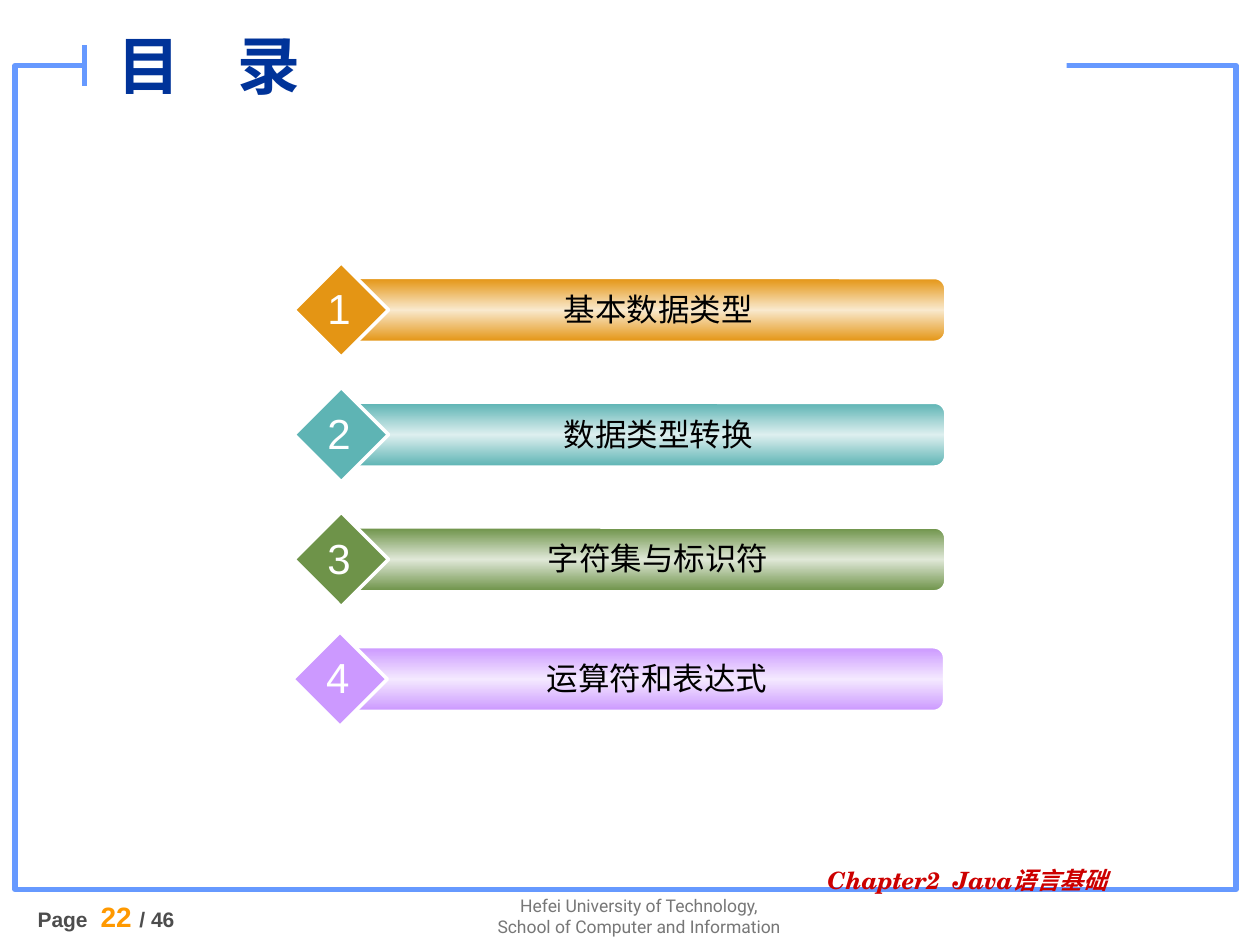
from copy import deepcopy
from pptx import Presentation
from pptx.dml.color import RGBColor
from pptx.enum.shapes import MSO_SHAPE as Kind, MSO_CONNECTOR as Link
from pptx.enum.text import PP_ALIGN as Align, MSO_ANCHOR as Anchor
from pptx.oxml.ns import qn
from pptx.oxml.xmlchemy import OxmlElement as Node
from pptx.util import Pt

BLUE, WHITE, GREY = "6699FF", "FFFFFF", "4D4D4D"
HAN = "Noto Sans CJK SC"

TITLE = "目\t录"
CHAPTER = "Chapter2\tJava语言基础"
SCHOOL = ["Hefei University of Technology,",
          "School of Computer and Information"]
PAGE = [("Page\t", 12, GREY), ("22 ", 16, "FF9900"), ("/ 46", 12, GREY)]

ITEMS = [
    ("基本数据类型", "E49514", "F9E9CD", 198, 159.1),
    ("数据类型转换", "5EB4B4", "DDEFEF", 198, 230.4),
    ("字符集与标识符", "6E9349", "E0E8D8", 198, 301.7),
    ("运算符和表达式", "CC99FF", "F4E9FF", 197.3, 370.1),
]
BAR_W, BAR_H, GEM = 342, 36, 54


def rgb(code):
    return RGBColor.from_string(code)


def style(run, size, color, face="Arial", bold=False, slant=False):
    font = run.font
    font.size, font.name = Pt(size), face
    font.bold, font.italic = bold, slant
    font.color.rgb = rgb(color)
    east = Node("a:ea")
    east.set("typeface", HAN)
    font._element.find(qn("a:latin")).addnext(east)


def add_tab(para, pos):
    stops, stop = Node("a:tabLst"), Node("a:tab")
    stop.set("pos", str(Pt(pos)))
    stop.set("algn", "l")
    stops.append(stop)
    para._p.get_or_add_pPr().append(stops)


def add_text(home, box, lines, size, color, align=Align.LEFT, wrap=True, **look):
    frame = home.add_textbox(*map(Pt, box)).text_frame
    frame.word_wrap = wrap
    frame.text = "\n".join(lines)
    for para in frame.paragraphs:
        para.alignment = align
        for run in para.runs:
            style(run, size, color, **look)
    return frame


def add_box(home, kind, box, fill, line, width):
    shape = home.add_shape(kind, *map(Pt, box))
    shape.shadow.inherit = False
    if fill:
        shape.fill.solid()
        shape.fill.fore_color.rgb = rgb(fill)
    else:
        shape.fill.background()
    if line:
        shape.line.color.rgb = rgb(line)
        shape.line.width = Pt(width)
    else:
        shape.line.fill.background()
    return shape


def shade(shape, edge, mid):
    fill = shape.fill
    fill.gradient()
    fill.gradient_angle = 90
    stops = shape._element.spPr.find(".//" + qn("a:gsLst"))
    stops.append(deepcopy(stops[0]))
    for stop, color, pos in zip(fill.gradient_stops, (edge, mid, edge), (0, 0.5, 1)):
        stop.color.rgb = rgb(color)
        stop.position = pos


def add_item(shapes, num, label, edge, mid, left, top):
    group = shapes.add_group_shape().shapes
    bar = add_box(group, Kind.ROUNDED_RECTANGLE, (left, top, BAR_W, BAR_H),
                  edge, WHITE, 1)
    shade(bar, edge, mid)
    add_box(group, Kind.DIAMOND, (left - 30, top + (BAR_H - GEM) / 2, GEM, GEM),
            edge, WHITE, 2)
    add_text(group, (left + 18, top + 3, 320, 29), [label], 18, "000000",
             Align.CENTER)
    add_text(group, (left - 18, top - 1.2, 27, 36), [str(num)], 24, WHITE,
             Align.CENTER, wrap=False)


def main():
    deck = Presentation()
    deck.slide_width, deck.slide_height = Pt(720), Pt(540)
    shapes = deck.slides.add_slide(deck.slide_layouts[6]).shapes

    add_box(shapes, Kind.RECTANGLE, (8.6, 37.5, 697.7, 470.9), None, BLUE, 3)
    add_box(shapes, Kind.RECTANGLE, (48, 20, 561.6, 25.5), WHITE, None, 0)
    add_text(shapes, (273.6, 507.6, 183, 43), SCHOOL, 10, "777777",
             Align.CENTER, face="Roboto")

    para = add_text(shapes, (14.4, 510.5, 130, 48), [], 12, GREY).paragraphs[0]
    add_tab(para, 36)
    for words, size, color in PAGE:
        run = para.add_run()
        run.text = words
        style(run, size, color, bold=True)

    tick = shapes.add_connector(Link.STRAIGHT, Pt(48.2), Pt(26), Pt(48.2), Pt(49))
    tick.line.color.rgb = rgb(BLUE)
    tick.line.width = Pt(3)
    tick._element.spPr.append(Node("a:effectLst"))

    para = add_text(shapes, (465.8, 493.2, 221, 25), [CHAPTER], 13.6, "CC0000",
                    face="TeX Gyre Schola", bold=True, slant=True).paragraphs[0]
    para.line_spacing = 0.9
    add_tab(para, 71.5)

    head = add_text(shapes, (59.8, 7.9, 368.6, 57.6), [TITLE], 36, "003399", bold=True)
    head.vertical_anchor = Anchor.MIDDLE
    add_tab(head.paragraphs[0], 69)

    for num, item in enumerate(ITEMS, 1):
        add_item(shapes, num, *item)
    deck.save("out.pptx")


if __name__ == "__main__":
    main()
